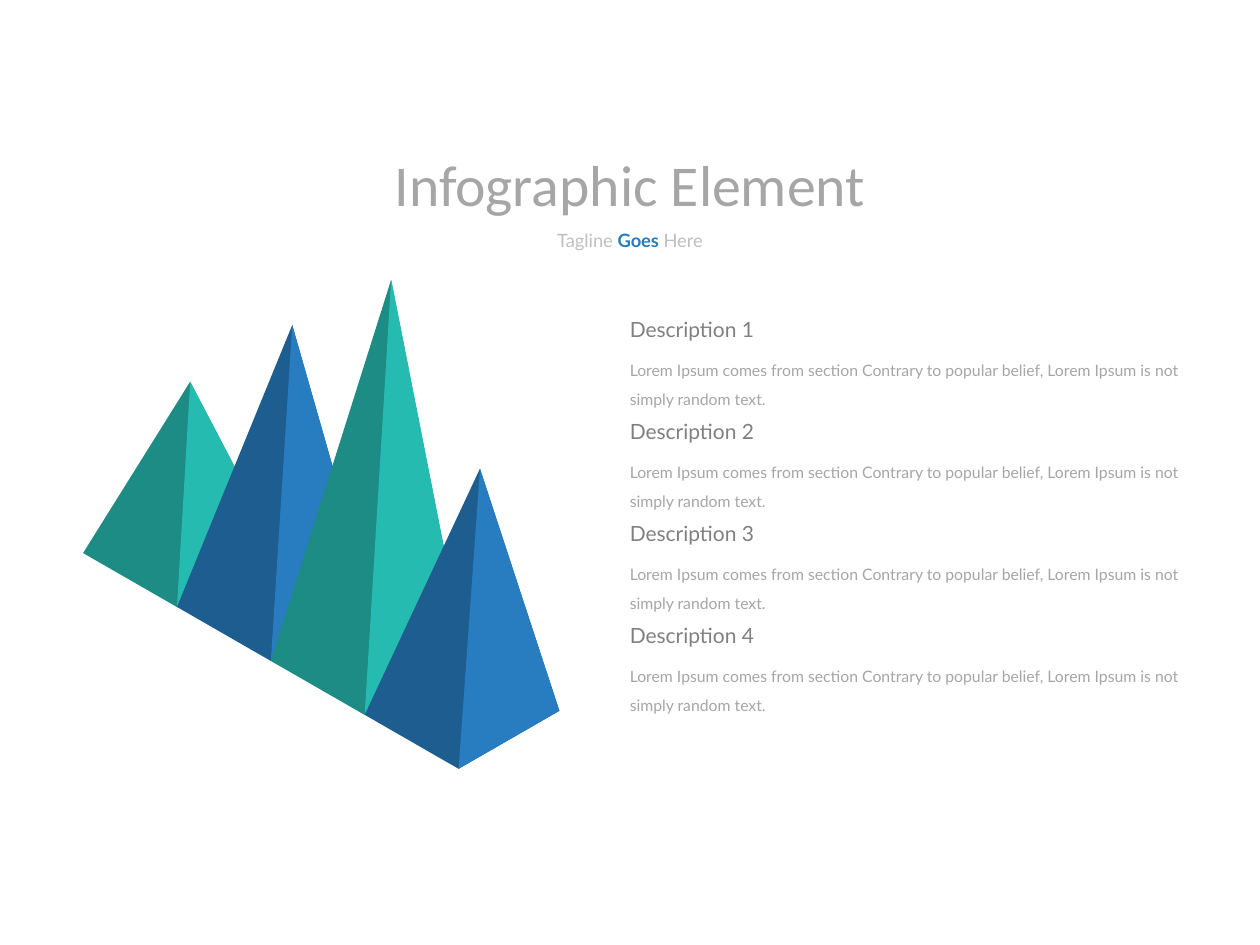
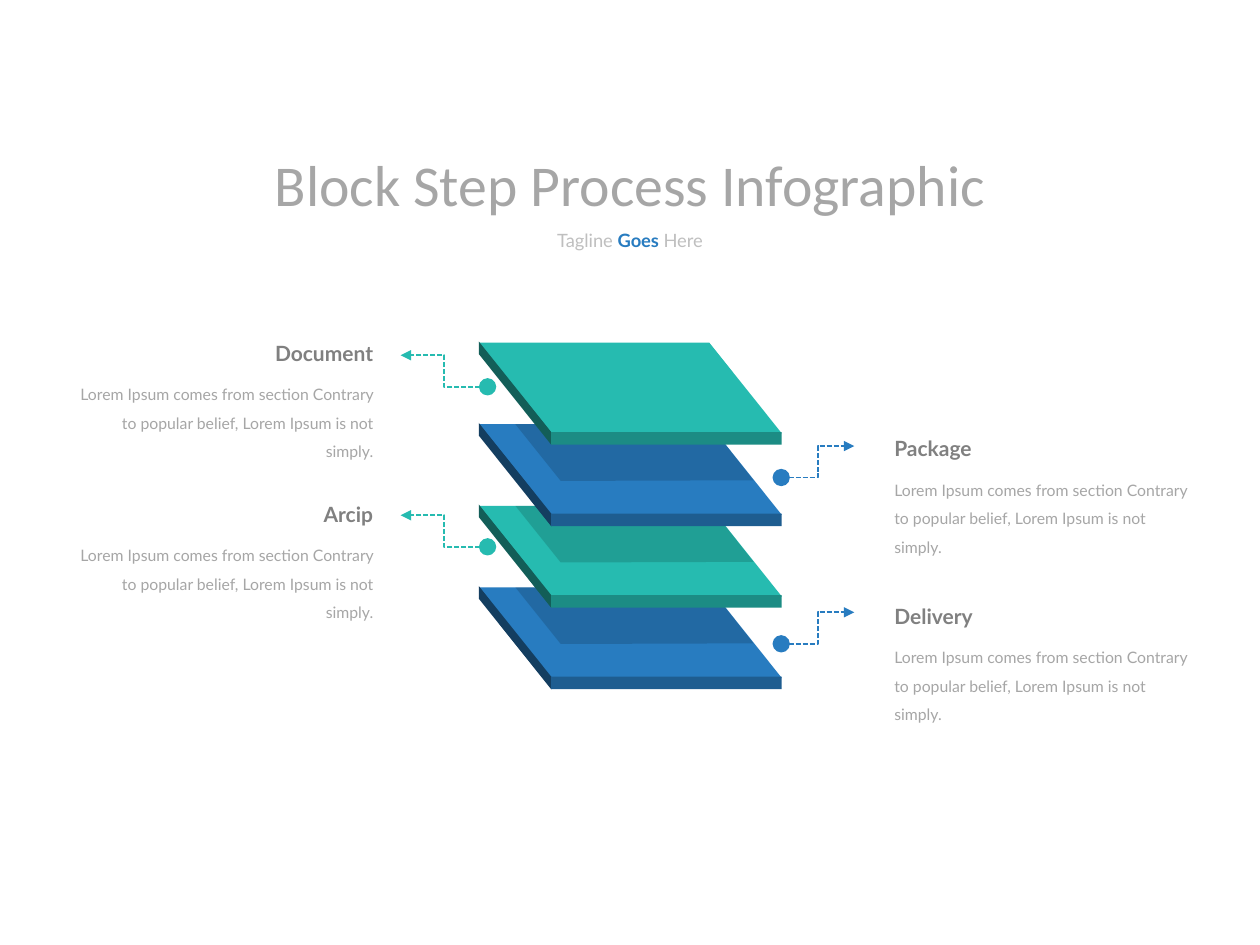
"""Build two infographic slides: a row of peaks and a stack of layers."""
from dataclasses import dataclass

import lxml.etree
import pptx
import pptx.dml.color
import pptx.enum.dml
import pptx.enum.shapes
import pptx.enum.text
import pptx.oxml.ns
import pptx.util

COLUMNS, ROWS = 100, 75
WIDTH, HEIGHT = pptx.util.Inches(10), pptx.util.Inches(7.5)
COLORS = {
    "title": "A6A6A6", "tagline": "BFBFBF", "heading": "808080", "body": "A6A6A6",
    "teal": "26BBB0", "teal_dark": "1C8C84", "teal_deep": "135E58",
    "blue": "287CC0", "blue_dark": "1E5D90", "blue_deep": "143E60",
    "shade": "000000",
}
LEFT = pptx.enum.text.PP_ALIGN.LEFT
CENTER = pptx.enum.text.PP_ALIGN.CENTER
RIGHT = pptx.enum.text.PP_ALIGN.RIGHT
Point = tuple[float, float]


@dataclass(frozen=True)
class Peak:
    summit: Point
    hue: str


@dataclass(frozen=True)
class Layer:
    top: float
    hue: str
    shaded: bool = True


@dataclass(frozen=True)
class Note:
    heading: str
    body: str
    left: float
    top: float
    width: float
    heading_width: float
    body_height: float
    align: int = LEFT
    bold: bool = False


@dataclass(frozen=True)
class Pointer:
    start: Point
    end: Point
    hue: str


LOREM = "Lorem Ipsum comes from section Contrary to popular belief, Lorem Ipsum is not simply"

PEAKS = [
    Peak((15.1, 30.3), "teal"),
    Peak((23.2, 25.8), "blue"),
    Peak((31.05, 22.2), "teal"),
    Peak((38.1, 37.2), "blue"),
]
PEAK_ORIGIN, PEAK_STEP, PEAK_SIDE = (6.6, 43.9), (7.45, 4.28), (8, -4.6)

DESCRIPTIONS = [
    Note(f"Description {i + 1}", f"{LOREM} random text.", 49, 24.6 + 8.1 * i, 46.4, 12, 5.6)
    for i in range(4)
]

LAYERS = [
    Layer(27.2 + 6.47 * level, hue, shaded=level > 0)
    for level, hue in enumerate(["teal", "blue", "teal", "blue"])
][::-1]
LAYER_LEFT, LAYER_WIDTH, LAYER_SLANT = 38, 18.3, 5.75
LAYER_DEPTH, LAYER_THICKNESS = 7.2, 1

POINTERS = [
    Pointer((38.7, 30.7), (31.8, 28.2), "teal"),
    Pointer((38.7, 43.4), (31.8, 40.9), "teal"),
    Pointer((62, 37.9), (67.8, 35.4), "blue"),
    Pointer((62, 51.1), (67.8, 48.6), "blue"),
]

STEPS = [
    Note(heading, f"{LOREM}.", left, top, 25.7, heading_width, 7.8, align, bold=True)
    for heading, left, top, heading_width, align in [
        ("Package", 70, 34.1, 8.3, LEFT),
        ("Document", 4.9, 26.5, 9.9, RIGHT),
        ("Delivery", 70, 47.4, 8.3, LEFT),
        ("Arcip", 4.9, 39.3, 6, RIGHT),
    ]
]


def across(columns: float) -> int:
    """Convert grid columns to a length."""
    return round(WIDTH * columns / COLUMNS)


def down(rows: float) -> int:
    """Convert grid rows to a length."""
    return round(HEIGHT * rows / ROWS)


def rgb(name: str) -> pptx.dml.color.RGBColor:
    """Look up a named colour."""
    return pptx.dml.color.RGBColor.from_string(COLORS[name])


def paint(shape, color: str) -> None:
    """Give a shape a flat fill without outline or shadow."""
    shape.fill.solid()
    shape.fill.fore_color.rgb = rgb(color)
    shape.line.fill.background()
    shape.shadow.inherit = False


def add_polygon(shapes, points: list[Point], color: str):
    """Draw a closed, filled outline through grid points."""
    start, *rest = [(across(x), down(y)) for x, y in points]
    builder = shapes.build_freeform(*start)
    builder.add_line_segments(rest, close=True)
    polygon = builder.convert_to_shape()
    paint(polygon, color)
    return polygon


def add_text(slide, left: float, top: float, width: float, height: float, text: str,
             font: str, size: float, color: str, align: int = LEFT, wrap: bool = False):
    """Add a one-paragraph text box and return its paragraph."""
    box = slide.shapes.add_textbox(across(left), down(top), across(width), down(height))
    frame = box.text_frame
    frame.word_wrap = wrap
    frame.auto_size = pptx.enum.text.MSO_AUTO_SIZE.SHAPE_TO_FIT_TEXT
    paragraph = frame.paragraphs[0]
    paragraph.text = text
    paragraph.alignment = align
    paragraph.font.name = font
    paragraph.font.size = pptx.util.Pt(size)
    paragraph.font.color.rgb = rgb(color)
    return paragraph


def add_titled_slide(deck, title: str, title_width: float):
    """Add a blank slide with the shared title and tagline."""
    slide = deck.slides.add_slide(deck.slide_layouts[6])
    add_text(slide, (COLUMNS - title_width) / 2, 11.3, title_width, 6.6,
             title, "Calibri", 33, "title", CENTER)
    tagline = add_text(slide, 43, 17.7, 14, 2.8, "Tagline ", "Lato", 10.5, "tagline", CENTER)
    accent = tagline.add_run()
    accent.text = "Goes "
    accent.font.bold = True
    accent.font.color.rgb = rgb("blue")
    tagline.add_run().text = "Here"
    return slide


def add_note(slide, note: Note) -> None:
    """Draw a heading with its body text below."""
    body = add_text(slide, note.left, note.top + 2.8, note.width, note.body_height,
                    note.body, "Lato", 9, "body", note.align, wrap=True)
    body.line_spacing = 1.5
    indent = note.width - note.heading_width if note.align == RIGHT else 0
    heading = add_text(slide, note.left + indent, note.top, note.heading_width, 3,
                       note.heading, "Lato", 12, "heading", note.align)
    heading.font.bold = note.bold


def add_peak(slide, peak: Peak, position: int) -> None:
    """Draw a two-faced peak at its place along the base line."""
    back, front = [
        tuple(origin + step * place for origin, step in zip(PEAK_ORIGIN, PEAK_STEP))
        for place in (position, position + 1)
    ]
    side = (front[0] + PEAK_SIDE[0], front[1] + PEAK_SIDE[1])
    add_polygon(slide.shapes, [back, peak.summit, side, front], f"{peak.hue}_dark")
    add_polygon(slide.shapes, [peak.summit, front, side], peak.hue)


def add_layer(slide, layer: Layer) -> None:
    """Draw a slanted slab, shaded by the slab above it."""
    shapes = slide.shapes.add_group_shape().shapes
    left, top = LAYER_LEFT, layer.top
    front = left + LAYER_SLANT
    bottom = top + LAYER_DEPTH
    edge = top - 0.1
    add_polygon(shapes, [(front, bottom), (front + LAYER_WIDTH, bottom),
                         (left + LAYER_WIDTH, top), (left, top)], layer.hue)
    add_polygon(shapes, [(left, edge), (left, edge + LAYER_THICKNESS),
                         (front, edge + LAYER_DEPTH + LAYER_THICKNESS),
                         (front, edge + LAYER_DEPTH)], f"{layer.hue}_deep")
    rim = shapes.add_shape(pptx.enum.shapes.MSO_SHAPE.RECTANGLE, across(front),
                           down(edge + LAYER_DEPTH), across(LAYER_WIDTH),
                           down(LAYER_THICKNESS))
    paint(rim, f"{layer.hue}_dark")
    if layer.shaded:
        shade = add_polygon(shapes, [(left + 6.5, top + 4.5), (left + 21.8, top + 4.45),
                                     (left + LAYER_WIDTH, top), (left + 2.9, top)], "shade")
        tint = shade.element.spPr.find(f".//{pptx.oxml.ns.qn('a:srgbClr')}")
        lxml.etree.SubElement(tint, pptx.oxml.ns.qn("a:alpha"), val="15000")


def add_pointer(slide, pointer: Pointer) -> None:
    """Draw a dashed elbow arrow that starts at a dot."""
    (start_x, start_y), (end_x, end_y) = pointer.start, pointer.end
    elbow = slide.shapes.add_connector(
        pptx.enum.shapes.MSO_CONNECTOR.ELBOW,
        across(start_x), down(start_y), across(end_x), down(end_y))
    elbow.line.color.rgb = rgb(pointer.hue)
    elbow.line.width = pptx.util.Pt(1)
    elbow.line.dash_style = pptx.enum.dml.MSO_LINE.SQUARE_DOT
    properties = elbow.element.spPr
    outline = properties.find(pptx.oxml.ns.qn("a:ln"))
    for end, kind, size in [("headEnd", "oval", "lg"), ("tailEnd", "triangle", "med")]:
        lxml.etree.SubElement(outline, pptx.oxml.ns.qn(f"a:{end}"), type=kind, w=size, len=size)
    lxml.etree.SubElement(properties, pptx.oxml.ns.qn("a:effectLst"))


def main() -> None:
    """Build and save the deck."""
    deck = pptx.Presentation()
    deck.slide_width, deck.slide_height = WIDTH, HEIGHT

    peaks_slide = add_titled_slide(deck, "Infographic Element", 43.3)
    for position, peak in enumerate(PEAKS):
        add_peak(peaks_slide, peak, position)
    for description in DESCRIPTIONS:
        add_note(peaks_slide, description)

    layers_slide = add_titled_slide(deck, "Block Step Process Infographic", 66.5)
    for layer in LAYERS:
        add_layer(layers_slide, layer)
    for pointer in POINTERS:
        add_pointer(layers_slide, pointer)
    for step in STEPS:
        add_note(layers_slide, step)

    deck.save("out.pptx")


if __name__ == "__main__":
    main()
